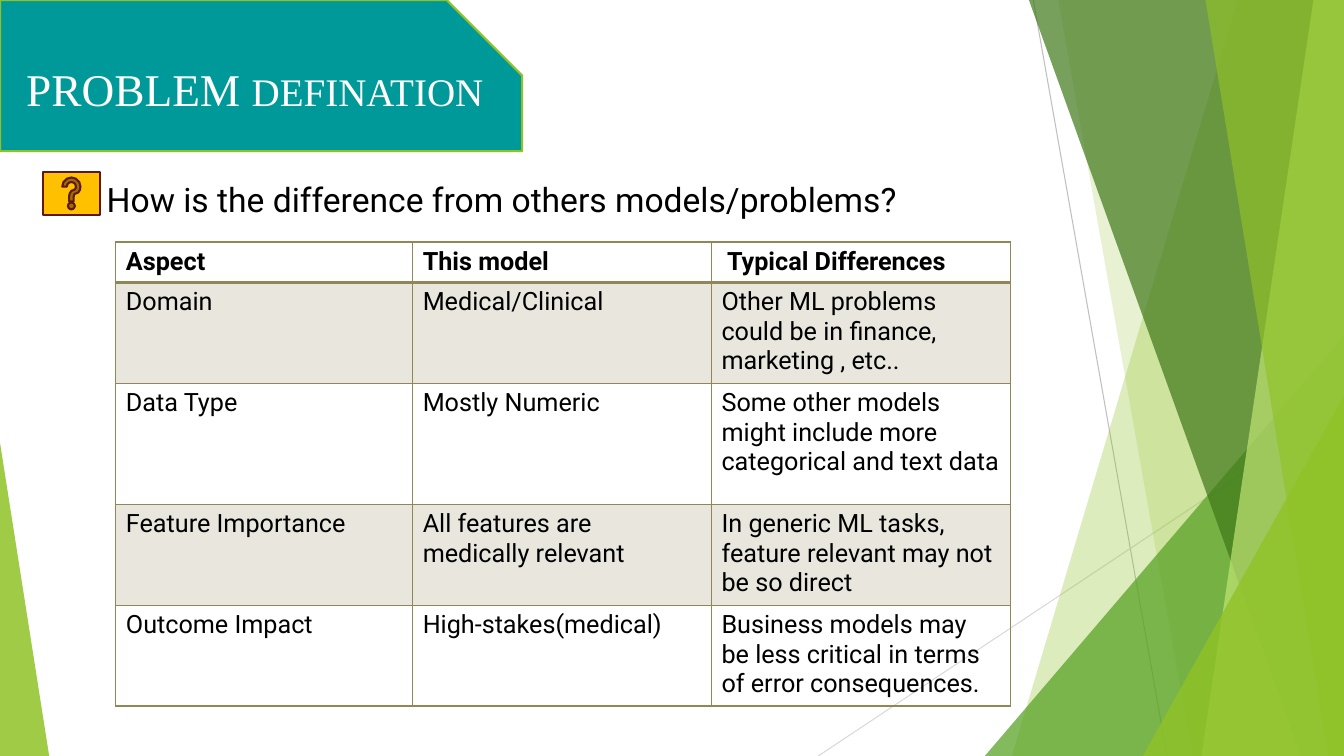
from dataclasses import dataclass

from lxml.etree import SubElement
from pptx import Presentation
from pptx.dml.color import RGBColor
from pptx.enum.shapes import MSO_CONNECTOR as Link, MSO_SHAPE as Preset
from pptx.oxml.ns import qn
from pptx.util import Cm, Pt

COLORS = {
    "white": "FFFFFF",
    "black": "000000",
    "teal": "009999",
    "lime": "90C226",
    "green": "54A021",
    "forest": "3F7819",
    "pale_lime": "C0E474",
    "silver": "BFBFBF",
    "light_silver": "D9D9D9",
    "olive": "918655",
    "amber": "FFC000",
    "maroon": "62170D",
}
WIDTH, HEIGHT = 33.87, 19.05
SANS, SERIF = "Roboto", "Times New Roman"


@dataclass
class Ray:
    start: tuple[float, float]
    end: tuple[float, float]
    color: str


@dataclass
class Facet:
    top_left: float
    bottom_left: float
    color: str
    opacity: int


@dataclass
class Wedge:
    left: float
    top: float
    width: float
    apex: float
    color: str
    opacity: int


@dataclass
class Plate:
    preset: Preset
    left: float
    top: float
    width: float
    height: float
    fill: str
    line: str


@dataclass
class Caption:
    left: float
    top: float
    width: float
    height: float
    font: str
    color: str
    spans: list[tuple[str, float]]


RAYS = [
    Ray((26.04, 0), (29.41, HEIGHT), "silver"),
    Ray((WIDTH, 10.24), (20.62, HEIGHT), "light_silver"),
]
PANELS = [
    Facet(31.19, 25.5, "lime", 30),
    Facet(26.67, 30.05, "lime", 20),
    Wedge(24.82, 8.46, 9.05, 1, "green", 72),
    Facet(25.93, 32.79, "forest", 70),
    Facet(33.1, 30.28, "pale_lime", 70),
    Facet(30.38, 33.48, "lime", 65),
    Wedge(28.8, 9.98, 5.07, 1, "lime", 80),
    Wedge(0, 11.15, 1.24, 0, "lime", 85),
]
BANNER = Plate(Preset.SNIP_1_RECTANGLE, 0, 0, 13.16, 3.81, "teal", "lime")
HELP_BUTTON = Plate(Preset.ACTION_BUTTON_HELP, 1.09, 4.34, 1.42, 1.07, "amber", "maroon")
CAPTIONS = [
    Caption(0.41, 1.42, 12.37, 1.8, SERIF, "white",
            [("PROBLEM ", 32.4), ("DEFINATION", 27.9)]),
    Caption(2.44, 4.39, 22.99, 1.3, SANS, "black",
            [("How is the difference from others models/problems?", 24)]),
]
COLUMN_WIDTHS = [7.48, 7.53, 7.53]
ROW_HEIGHTS = [1, 2.49, 3.05, 2.49, 2.49]
COMPARISON = [
    ("Aspect", "This model", " Typical Differences"),
    ("Domain", "Medical/Clinical",
     "Other ML problems could be in finance, marketing , etc.."),
    ("Data Type", "Mostly Numeric",
     "Some other models might include more categorical and text data"),
    ("Feature Importance", "All features are medically relevant",
     "In generic ML tasks, feature relevant may not be so direct"),
    ("Outcome Impact", "High-stakes(medical)",
     "Business models may be less critical in terms of error consequences."),
]


def rgb(name: str) -> RGBColor:
    return RGBColor.from_string(COLORS[name])


def paint(fill, color: str, element, opacity: int = 100) -> None:
    fill.solid()
    fill.fore_color.rgb = rgb(color)
    if opacity < 100:
        tint = element.find(qn("a:solidFill")).find(qn("a:srgbClr"))
        SubElement(tint, qn("a:alpha"), val=str(opacity * 1000))


def draw_ray(page, ray: Ray) -> None:
    points = [Cm(value) for value in (*ray.start, *ray.end)]
    connector = page.shapes.add_connector(Link.STRAIGHT, *points)
    connector.line.color.rgb = rgb(ray.color)
    connector.line.width = Pt(0.75)
    SubElement(connector._element.spPr, qn("a:effectLst"))


def draw_panel(page, panel: Facet | Wedge) -> None:
    if isinstance(panel, Facet):
        builder = page.shapes.build_freeform(Cm(panel.top_left), 0)
        corners = [(WIDTH, 0), (WIDTH, HEIGHT), (panel.bottom_left, HEIGHT)]
        builder.add_line_segments([(Cm(x), Cm(y)) for x, y in corners], close=True)
        shape = builder.convert_to_shape()
    else:
        shape = page.shapes.add_shape(
            Preset.ISOSCELES_TRIANGLE, Cm(panel.left), Cm(panel.top),
            Cm(panel.width), Cm(HEIGHT - panel.top))
        shape.adjustments[0] = panel.apex
    shape.shadow.inherit = False
    shape.line.fill.background()
    paint(shape.fill, panel.color, shape._element.spPr, panel.opacity)


def draw_plate(page, plate: Plate):
    shape = page.shapes.add_shape(
        plate.preset, Cm(plate.left), Cm(plate.top), Cm(plate.width), Cm(plate.height))
    shape.shadow.inherit = False
    paint(shape.fill, plate.fill, shape._element.spPr)
    shape.line.color.rgb = rgb(plate.line)
    shape.line.width = Pt(1.5)
    return shape


def draw_caption(page, caption: Caption) -> None:
    box = page.shapes.add_textbox(
        Cm(caption.left), Cm(caption.top), Cm(caption.width), Cm(caption.height))
    box.text_frame.word_wrap = True
    para = box.text_frame.paragraphs[0]
    para.font.name = caption.font
    para.font.color.rgb = rgb(caption.color)
    for text, size in caption.spans:
        span = para.add_run()
        span.text = text
        span.font.size = Pt(size)


def draw_borders(cell, row: int) -> None:
    widths = {"L": 1, "R": 1, "T": 2 if row == 1 else 1, "B": 2 if row == 0 else 1}
    properties = cell._tc.get_or_add_tcPr()
    for side, width in widths.items():
        border = SubElement(properties, qn(f"a:ln{side}"), w=str(Pt(width)))
        fill = SubElement(border, qn("a:solidFill"))
        SubElement(fill, qn("a:srgbClr"), val=COLORS["olive"])


def draw_table(page) -> None:
    table = page.shapes.add_table(
        len(ROW_HEIGHTS), len(COLUMN_WIDTHS), Cm(2.92), Cm(6.1),
        Cm(sum(COLUMN_WIDTHS)), Cm(sum(ROW_HEIGHTS))).table
    table.horz_banding = False
    for column, width in zip(table.columns, COLUMN_WIDTHS):
        column.width = Cm(width)
    for row, (height, texts) in enumerate(zip(ROW_HEIGHTS, COMPARISON)):
        table.rows[row].height = Cm(height)
        for column, text in enumerate(texts):
            cell = table.cell(row, column)
            cell.text = text
            font = cell.text_frame.paragraphs[0].font
            font.name, font.size, font.bold = SANS, Pt(18), row == 0
            font.color.rgb = rgb("black")
            draw_borders(cell, row)
            if row % 2:
                paint(cell.fill, "olive", cell._tc.tcPr, 20)
            else:
                cell.fill.background()


def main() -> None:
    deck = Presentation()
    deck.slide_width, deck.slide_height = Cm(WIDTH), Cm(HEIGHT)
    page = deck.slides.add_slide(deck.slide_layouts[6])
    for ray in RAYS:
        draw_ray(page, ray)
    for panel in PANELS:
        draw_panel(page, panel)
    draw_plate(page, BANNER).adjustments[0] = 0.5
    for caption in CAPTIONS:
        draw_caption(page, caption)
    draw_table(page)
    draw_plate(page, HELP_BUTTON)
    deck.save("out.pptx")


if __name__ == "__main__":
    main()
